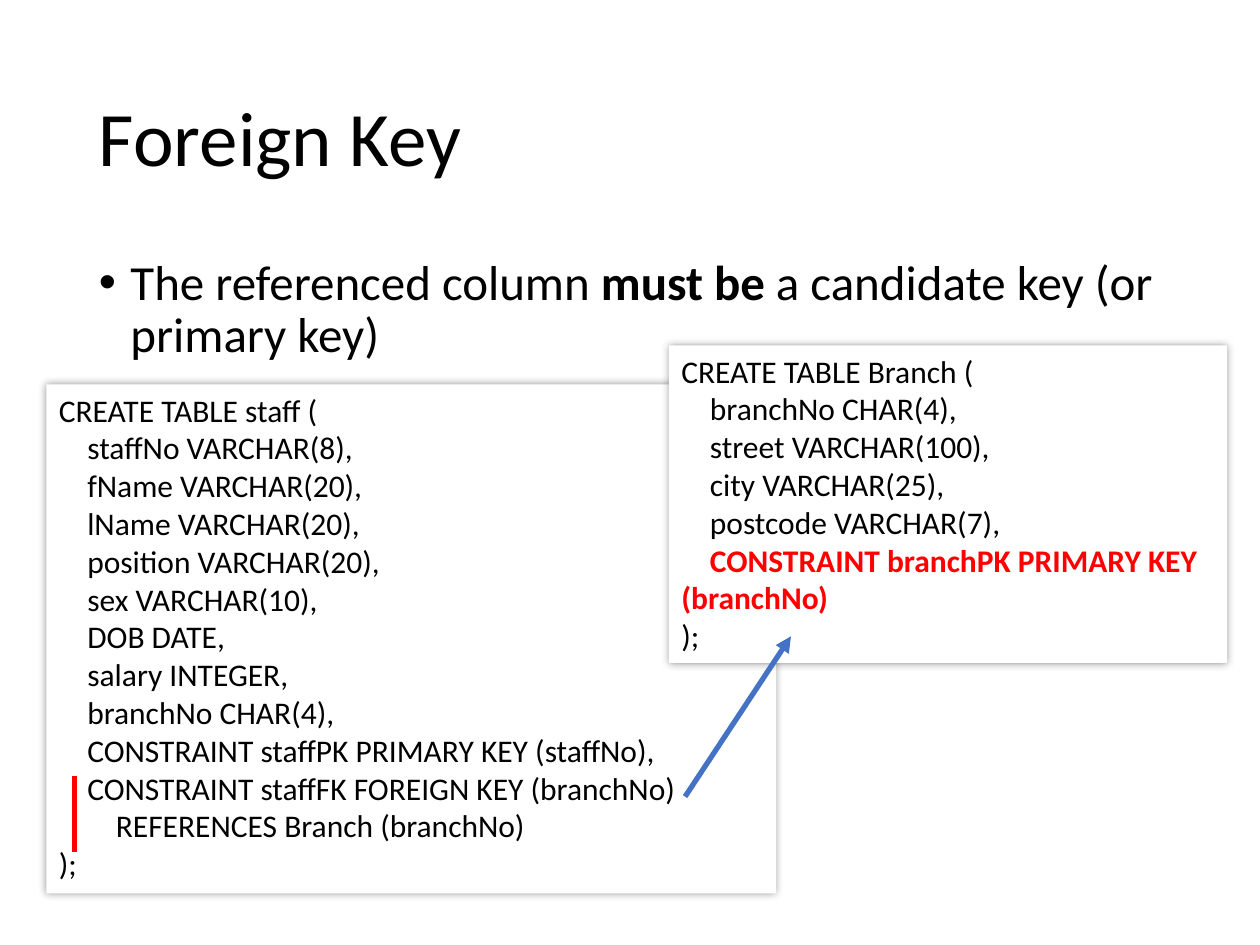
from lxml import etree
from pptx import Presentation
from pptx.dml.color import RGBColor
from pptx.enum.shapes import MSO_CONNECTOR, MSO_SHAPE
from pptx.enum.text import MSO_ANCHOR, MSO_AUTO_SIZE, PP_ALIGN
from pptx.oxml.ns import qn
from pptx.util import Pt

STRAIGHT = MSO_CONNECTOR.STRAIGHT
RECTANGLE = MSO_SHAPE.RECTANGLE
TOP, MIDDLE = MSO_ANCHOR.TOP, MSO_ANCHOR.MIDDLE
LEFT = PP_ALIGN.LEFT
FIT_TEXT = MSO_AUTO_SIZE.SHAPE_TO_FIT_TEXT

COLORS = {"text": "000000", "panel": "FFFFFF", "key": "FF0000", "arrow": "4472C4"}
FONT = "Calibri"
CODE_INDENT = 16.3

# Each code line: indent level, text, whether it is the highlighted key
STAFF_CODE = [
    (0, "CREATE TABLE staff (", False),
    (1, "staffNo VARCHAR(8),", False),
    (1, "fName VARCHAR(20),", False),
    (1, "lName VARCHAR(20),", False),
    (1, "position VARCHAR(20),", False),
    (1, "sex VARCHAR(10),", False),
    (1, "DOB DATE,", False),
    (1, "salary INTEGER,", False),
    (1, "branchNo CHAR(4),", False),
    (1, "CONSTRAINT staffPK PRIMARY KEY (staffNo),", False),
    (1, "CONSTRAINT staffFK FOREIGN KEY (branchNo)", False),
    (2, "REFERENCES Branch (branchNo)", False),
    (0, ");", False),
]
BRANCH_CODE = [
    (0, "CREATE TABLE Branch (", False),
    (1, "branchNo CHAR(4),", False),
    (1, "street VARCHAR(100),", False),
    (1, "city VARCHAR(25),", False),
    (1, "postcode VARCHAR(7),", False),
    (1, "CONSTRAINT branchPK PRIMARY KEY (branchNo)", True),
    (0, ");", False),
]


def rgb(name):
    return RGBColor.from_string(COLORS[name])


def add_text(paragraph, text, size=18, color="text", bold=False):
    run = paragraph.add_run()
    run.text = text
    run.font.name = FONT
    run.font.size = Pt(size)
    run.font.bold = bold
    run.font.color.rgb = rgb(color)


def set_indent(paragraph, margin, first_line):
    properties = paragraph._p.get_or_add_pPr()
    properties.set("marL", str(Pt(margin)))
    properties.set("indent", str(Pt(first_line)))
    return properties


def add_heading_box(slide, box, anchor):
    """Add a wrapping text box and return its first paragraph."""
    frame = slide.shapes.add_textbox(*map(Pt, box)).text_frame
    frame.word_wrap = True
    frame.vertical_anchor = anchor
    paragraph = frame.paragraphs[0]
    paragraph.line_spacing = 0.9
    return paragraph


def add_title(slide, box):
    add_text(add_heading_box(slide, box, MIDDLE), "Foreign Key", size=44)


def add_rule(slide, box):
    """Add the bulleted rule about referenced columns."""
    paragraph = add_heading_box(slide, box, TOP)
    paragraph.space_before = Pt(10)
    properties = set_indent(paragraph, 18, -18)
    etree.SubElement(properties, qn("a:buFont"), typeface="Arial")
    etree.SubElement(properties, qn("a:buChar"), char="•")
    add_text(paragraph, "The referenced column ", size=28)
    add_text(paragraph, "must be ", size=28, bold=True)
    add_text(paragraph, "a candidate key (or primary key)", size=28)


def add_glow_shadow(shape):
    """Give the shape a soft, centred shadow."""
    shape.shadow.inherit = False
    effects = shape._element.spPr.find(qn("a:effectLst"))
    shadow = etree.SubElement(effects, qn("a:outerShdw"), blurRad=str(Pt(5)),
                              dist="0", dir="0", algn="ctr", rotWithShape="0")
    color = etree.SubElement(shadow, qn("a:srgbClr"), val=COLORS["text"])
    etree.SubElement(color, qn("a:alpha"), val="40000")


def add_code_panel(slide, box, code):
    panel = slide.shapes.add_shape(RECTANGLE, *map(Pt, box))
    panel.fill.solid()
    panel.fill.fore_color.rgb = rgb("panel")
    panel.line.fill.background()
    add_glow_shadow(panel)
    frame = panel.text_frame
    frame.word_wrap = True
    frame.auto_size = FIT_TEXT
    frame.vertical_anchor = TOP
    for number, (level, text, is_key) in enumerate(code):
        paragraph = frame.add_paragraph() if number else frame.paragraphs[0]
        paragraph.alignment = LEFT
        set_indent(paragraph, 0, level * CODE_INDENT)
        add_text(paragraph, text, color="key" if is_key else "text", bold=is_key)


def add_line(slide, start, end, color, arrow=False):
    line = slide.shapes.add_connector(STRAIGHT, *map(Pt, start + end))
    line.line.color.rgb = rgb(color)
    line.line.width = Pt(3)
    if arrow:
        etree.SubElement(line.line._get_or_add_ln(), qn("a:tailEnd"), type="triangle")
    etree.SubElement(line._element.spPr, qn("a:effectLst"))


def main():
    presentation = Presentation()
    presentation.slide_width, presentation.slide_height = Pt(720), Pt(540)
    slide = presentation.slides.add_slide(presentation.slide_layouts[6])

    add_title(slide, (49.5, 28.75, 621, 104.4))
    add_rule(slide, (49.5, 143.75, 621, 342.6))
    add_code_panel(slide, (26.5, 219.7, 417, 290.8), STAFF_CODE)
    add_code_panel(slide, (382.3, 197.4, 319, 181.4), BRANCH_CODE)
    add_line(slide, (391.5, 455.2), (452, 363.6), "arrow", arrow=True)
    add_line(slide, (42.6, 443.4), (42.6, 486.6), "key")

    presentation.save("out.pptx")


if __name__ == "__main__":
    main()
